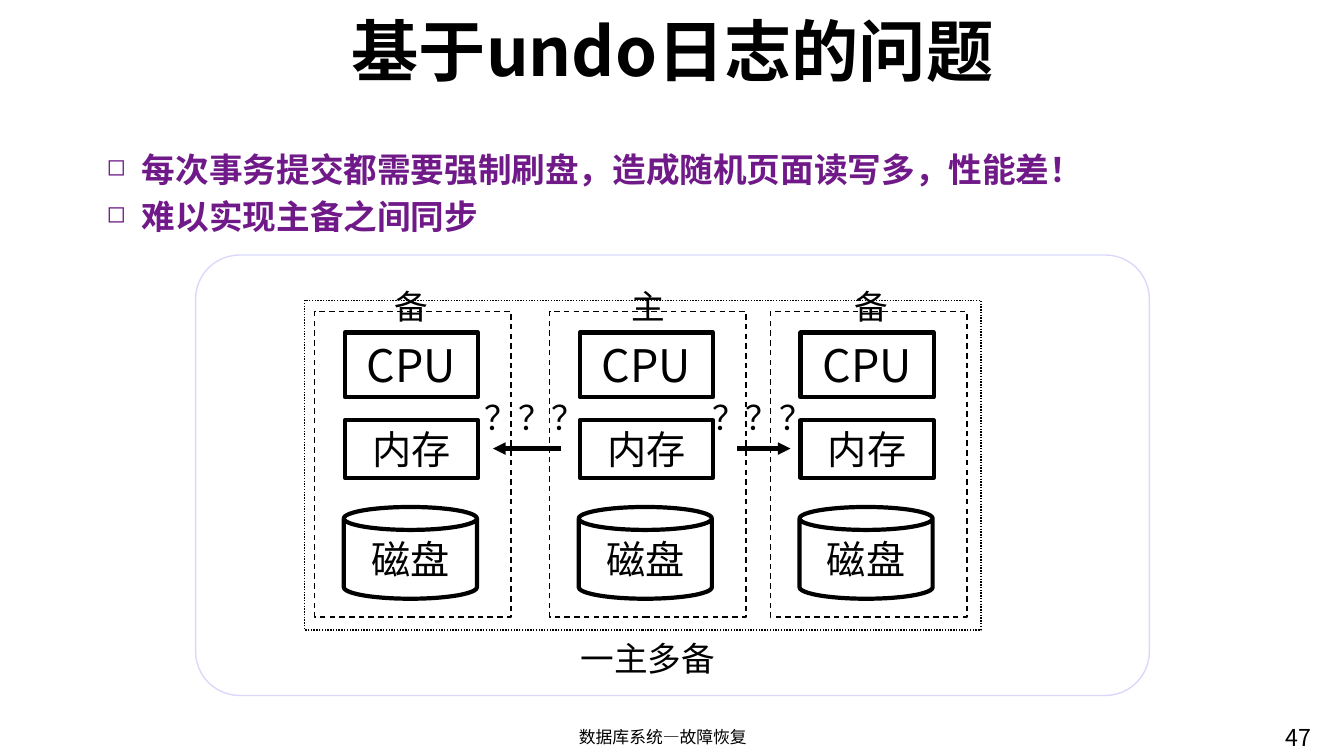
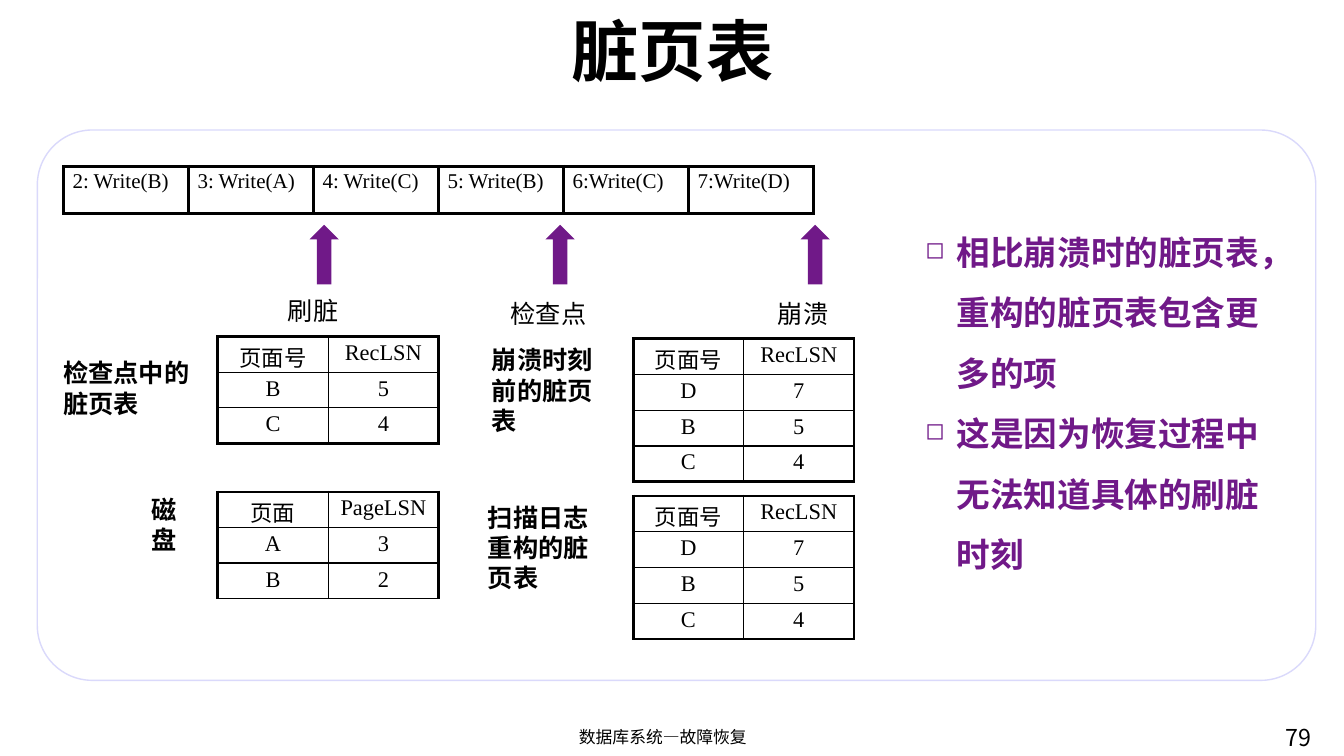
"""Build two database recovery slides: problems of undo logging and the dirty page table."""
from lxml import etree
from pptx import Presentation
from pptx.dml.color import RGBColor
from pptx.enum import dml, shapes, text
from pptx.oxml import ns
from pptx.util import Inches, Pt

SANS, SERIF = "Noto Sans CJK SC", "Times New Roman"
BLACK, WHITE, PURPLE, LAVENDER = "000000", "FFFFFF", "701988", "DAD9FB"
LEFT, CENTER = text.PP_ALIGN.LEFT, text.PP_ALIGN.CENTER
SHAPE = shapes.MSO_SHAPE
color = RGBColor.from_string


def write(frame, lines, size, ink=BLACK, bold=False, align=LEFT, font=SANS,
          hang=0, before=0, spacing=None):
    """Fill a text frame with evenly styled paragraphs, bulleted if hang is set."""
    frame.word_wrap = True
    for i, line in enumerate(lines):
        paragraph = frame.paragraphs[0] if i == 0 else frame.add_paragraph()
        paragraph.text = line
        if hang:
            props = paragraph._p.get_or_add_pPr()
            props.set("marL", str(Inches(hang)))
            props.set("indent", str(-Inches(hang)))
            etree.SubElement(props, ns.qn("a:buSzPct"), val="70000")
            etree.SubElement(props, ns.qn("a:buChar"), char="◻")
        paragraph.alignment = align
        if before and i:
            paragraph.space_before = Pt(before)
        if spacing:
            paragraph.line_spacing = spacing
        paragraph.font.size = Pt(size)
        paragraph.font.bold = bold
        paragraph.font.color.rgb = color(ink)
        paragraph.font.name = font
        etree.SubElement(paragraph.font._element, ns.qn("a:ea"), typeface=SANS)


def draw(slide, preset, box, fill=None, line=None, width=1, dash=None):
    """Add a flat preset shape, filled or outlined as asked."""
    shape = slide.shapes.add_shape(preset, *map(Inches, box))
    shape.shadow.inherit = False
    if fill:
        shape.fill.solid()
        shape.fill.fore_color.rgb = color(fill)
    else:
        shape.fill.background()
    if line:
        shape.line.color.rgb = color(line)
        shape.line.width = Pt(width)
        shape.line.dash_style = dash
    else:
        shape.line.fill.background()
    return shape


deck = Presentation()
deck.slide_width, deck.slide_height = Inches(13.33), Inches(7.5)

for heading, number, panel_box in [
    ("基于undo日志的问题", "47", (1.94, 2.53, 9.46, 4.37)),
    ("脏页表", "79", (0.37, 1.29, 12.68, 5.46)),
]:
    slide = deck.slides.add_slide(deck.slide_layouts[5])
    title = slide.shapes.title
    title.left, title.top, title.width, title.height = map(Inches, (1.15, 0.12, 11.04, 0.74))
    title.text_frame.auto_size = text.MSO_AUTO_SIZE.NONE
    title.text_frame.vertical_anchor = text.MSO_ANCHOR.MIDDLE
    write(title.text_frame, [heading], 48, bold=True, align=CENTER)
    panel = draw(slide, SHAPE.ROUNDED_RECTANGLE, panel_box, WHITE, LAVENDER)
    panel.adjustments[0] = 0.1
    page = slide.shapes.add_textbox(*map(Inches, (12.65, 7.13, 0.84, 0.52)))
    write(page.text_frame, [number], 16.6)
    footer = slide.shapes.add_textbox(*map(Inches, (4.47, 7.16, 4.21, 0.34)))
    write(footer.text_frame, ["数据库系统—故障恢复"], 12, align=CENTER)

undo, dirty = deck.slides

problems = undo.shapes.add_textbox(*map(Inches, (0.96, 1.43, 11.89, 1)))
write(problems.text_frame,
      ["每次事务提交都需要强制刷盘，造成随机页面读写多，性能差！", "难以实现主备之间同步"],
      24, PURPLE, True, hang=0.35, before=4.8)

for left in (3.12, 5.45, 7.64):
    draw(undo, SHAPE.RECTANGLE, (left, 3.09, 1.95, 3.03), line=BLACK,
         dash=dml.MSO_LINE.DASH)
    for preset, shift, top, height, part, size in [
        (SHAPE.CAN, 0.29, 5.03, 0.91, "磁盘", 28),
        (SHAPE.RECTANGLE, 0.3, 3.3, 0.64, "CPU", 32),
        (SHAPE.RECTANGLE, 0.3, 4.17, 0.57, "内存", 28),
    ]:
        component = draw(undo, preset, (left + shift, top, 1.32, height), line=BLACK, width=3)
        write(component.text_frame, [part], size, align=CENTER)

draw(undo, SHAPE.RECTANGLE, (3.02, 2.98, 6.71, 3.27), line=BLACK,
     dash=dml.MSO_LINE.ROUND_DOT)

for label, left, top, width in [
    ("备", 3.26, 2.79, 1.63),
    ("主", 5.62, 2.79, 1.63),
    ("备", 7.83, 2.79, 1.63),
    ("一主多备", 5.03, 6.28, 2.79),
    ("？？？", 3.91, 3.89, 2.79),
    ("？？？", 6.17, 3.89, 2.79),
]:
    caption = undo.shapes.add_textbox(*map(Inches, (left, top, width, 0.5)))
    write(caption.text_frame, [label], 24, align=CENTER)

for start, end in [(7.31, 7.84), (5.56, 4.89)]:
    sync = undo.shapes.add_connector(shapes.MSO_CONNECTOR.STRAIGHT,
                                     *map(Inches, (start, 4.45, end, 4.45)))
    sync.line.color.rgb = color(BLACK)
    sync.line.width = Pt(3)
    etree.SubElement(sync.line._get_or_add_ln(), ns.qn("a:tailEnd"), type="triangle")
    etree.SubElement(sync._element.spPr, ns.qn("a:effectLst"))

reasons = dirty.shapes.add_textbox(*map(Inches, (9.08, 2.05, 3.64, 3.66)))
write(reasons.text_frame,
      ["相比崩溃时的脏页表，重构的脏页表包含更多的项", "这是因为恢复过程中无法知道具体的刷脏时刻"],
      24, PURPLE, True, hang=0.31, spacing=1.5)

THICK, THIN = 2.25, 1
log = [["2: Write(B)", "3: Write(A)", "4: Write(C)", "5: Write(B)", "6:Write(C)", "7:Write(D)"]]
checkpoint_pages = [["页面号", "RecLSN"], ["B", "5"], ["C", "4"]]
disk_pages = [["页面", "PageLSN"], ["A", "3"], ["B", "2"]]
crash_pages = [["页面号", "RecLSN"], ["D", "7"], ["B", "5"], ["C", "4"]]

for rows, box, size, align, inner, bottom in [
    (log, (0.63, 1.65, 7.44, 0.47), 15, LEFT, THICK, THICK),
    (checkpoint_pages, (2.16, 3.34, 2.19, 1.06), 16, CENTER, THIN, THICK),
    (disk_pages, (2.16, 4.88, 2.19, 1.06), 16, CENTER, THIN, THIN),
    (crash_pages, (6.28, 3.36, 2.19, 1.42), 16, CENTER, THIN, THICK),
    (crash_pages, (6.28, 4.92, 2.19, 1.42), 16, CENTER, THIN, THICK),
]:
    last_row, last_col = len(rows) - 1, len(rows[0]) - 1
    table = dirty.shapes.add_table(len(rows), len(rows[0]), *map(Inches, box)).table
    table.first_row = table.horz_banding = False
    for r, row in enumerate(rows):
        for c, value in enumerate(row):
            cell = table.cell(r, c)
            cell.margin_left = cell.margin_right = Inches(0.09)
            cell.margin_top = cell.margin_bottom = Inches(0.04)
            write(cell.text_frame, [value], size, align=align, font=SERIF)
            borders = {
                "a:lnL": THICK if c == 0 else inner,
                "a:lnR": THICK if c == last_col else inner,
                "a:lnT": THICK if r == 0 else inner,
                "a:lnB": bottom if r == last_row else inner,
            }
            for side, width in borders.items():
                edge = etree.SubElement(cell._tc.get_or_add_tcPr(), ns.qn(side), w=str(Pt(width)))
                paint = etree.SubElement(edge, ns.qn("a:solidFill"))
                etree.SubElement(paint, ns.qn("a:srgbClr"), val=BLACK)
            cell.fill.solid()
            cell.fill.fore_color.rgb = color(WHITE)

for event, box, arrow_left in [
    ("刷脏", (2.16, 2.88, 1.89, 0.4), 3.07),
    ("检查点", (4.73, 2.91, 1.42, 0.4), 5.41),
    ("崩溃", (7.02, 2.91, 1.89, 0.4), 7.94),
]:
    draw(dirty, SHAPE.UP_ARROW, (arrow_left, 2.23, 0.29, 0.59), PURPLE)
    moment = dirty.shapes.add_textbox(*map(Inches, box))
    write(moment.text_frame, [event], 18, align=CENTER)

for lines, box in [
    (["检查点中的", "脏页表"], (0.53, 3.5, 1.52, 0.71)),
    (["磁盘"], (1.4, 4.85, 0.62, 0.71)),
    (["崩溃时刻", "前的脏页表"], (4.78, 3.37, 1.42, 1.01)),
    (["扫描日志重构的脏页表"], (4.74, 4.93, 1.42, 1.01)),
]:
    table_name = dirty.shapes.add_textbox(*map(Inches, box))
    write(table_name.text_frame, lines, 18, bold=True)

deck.save("out.pptx")
